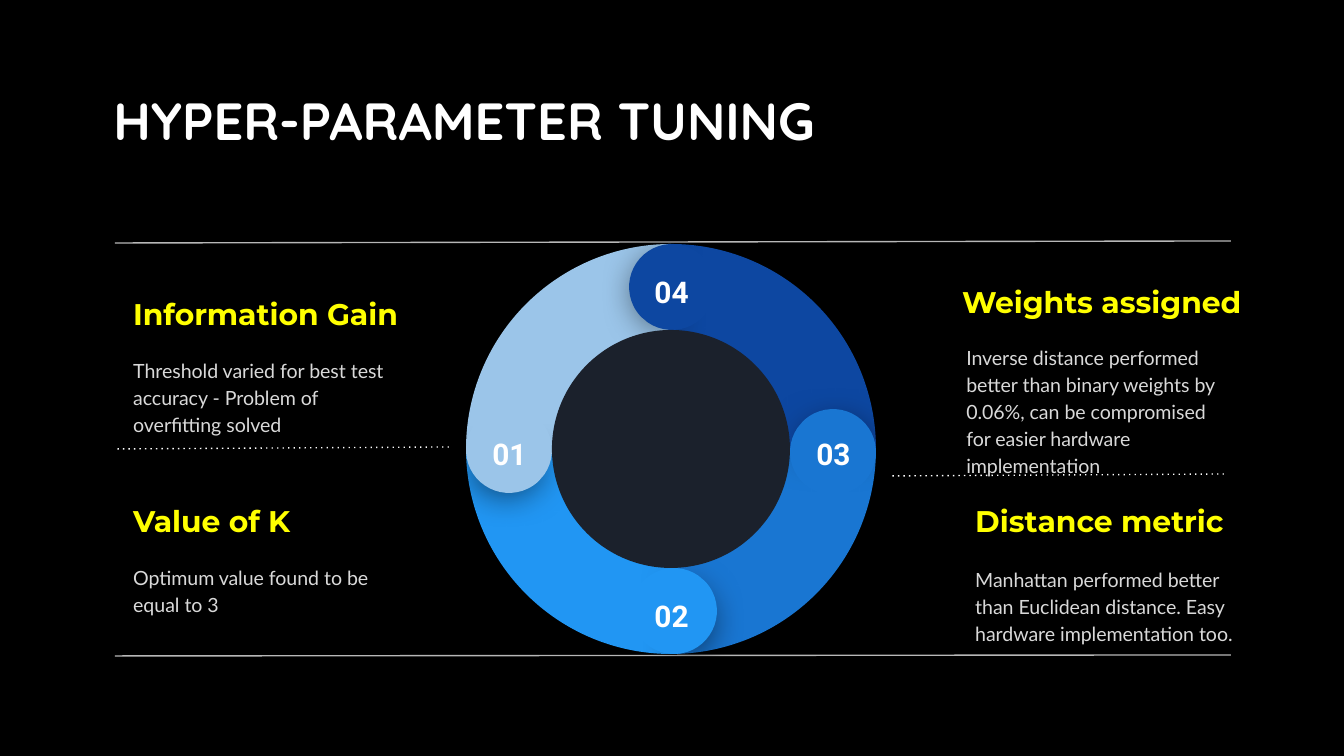
import math
from lxml import etree
from pptx import Presentation
from pptx import util as u
from pptx.dml import color as c
from pptx.enum import shapes, text
from pptx.oxml import ns

SCALE = 914400 / 134.4
COLORS = {
    "background": "000000",
    "title": "FFFFFF",
    "heading": "FFFF00",
    "body": "D9D9D9",
    "rule": "B7B7B7",
    "dots": "FFFFFF",
    "hole": "1B212C",
}
SEGMENTS = [
    ("01", "9BC5E9", 0, 180),
    ("04", "0D47A1", 90, 270),
    ("03", "1976D2", 180, 0),
    ("02", "2196F3", 270, 90),
]
CAP_SHIFTS = {"01": (0, 1), "02": (3, 0), "03": (0, 3), "04": (1, 0)}
ITEMS = [
    ((120, 281, 363, 66), (120, 345, 293, 102), "Information Gain",
     "Threshold varied for best test accuracy - Problem of overfitting solved"),
    ((120, 488, 273, 66), (120, 539, 293, 102), "Value of K",
     "Optimum value found to be equal to 3"),
    ((949, 269, 320, 66), (953, 359, 293, 102), "Weights assigned",
     "Inverse distance performed better than binary weights by 0.06%, "
     "can be compromised for easier hardware implementation"),
    ((962, 488, 282, 66), (962, 554, 293, 102), "Distance metric",
     "Manhattan performed better than Euclidean distance. "
     "Easy hardware implementation too."),
]
RULES = [
    ((1231, 241), (115, 243), "rule", False),
    ((449, 447), (115, 449), "dots", False or True),
    ((1224, 474), (890, 476), "dots", True),
    ((1231, 655), (115, 656), "rule", False),
]


def px(*lengths):
    return [u.Emu(round(length * SCALE)) for length in lengths]


def rgb(value):
    return c.RGBColor.from_string(value)


def write(shape, words, font, size, color, bold=False, anchor="TOP", align="LEFT"):
    frame = shape.text_frame
    frame.word_wrap = True
    frame.auto_size = text.MSO_AUTO_SIZE.NONE
    frame.vertical_anchor = text.MSO_ANCHOR[anchor]
    frame.margin_left = frame.margin_right = u.Inches(0.1)
    frame.margin_top = frame.margin_bottom = u.Inches(0.1)
    paragraph = frame.paragraphs[0]
    paragraph.alignment = text.PP_ALIGN[align]
    run = paragraph.add_run()
    run.text = words
    run.font.name = font
    run.font.size = u.Pt(size)
    run.font.bold = bold
    run.font.color.rgb = rgb(color)
    return paragraph


def add_title(slide, box):
    title = slide.shapes.title
    title.left, title.top, title.width, title.height = px(*box)
    paragraph = write(title, "HYPER-PARAMETER TUNING", "Quicksand", 28,
                      COLORS["title"], bold=True)
    paragraph.line_spacing = 0.9


def add_item(slide, heading_box, body_box, heading, body):
    write(slide.shapes.add_textbox(*px(*heading_box)), heading, "Montserrat", 16,
          COLORS["heading"], bold=True, anchor="MIDDLE")
    paragraph = write(slide.shapes.add_textbox(*px(*body_box)), body, "Lato", 10.5,
                      COLORS["body"], anchor="MIDDLE")
    paragraph.line_spacing = 1.15
    paragraph.space_after = u.Pt(16)


def add_rule(slide, start, end, color, dotted):
    line = slide.shapes.add_connector(shapes.MSO_CONNECTOR.STRAIGHT, *px(*start, *end))
    line.line.color.rgb = rgb(COLORS[color])
    line.line.width = u.Pt(0.75)
    if dotted:
        etree.SubElement(line.line._get_or_add_ln(), ns.qn("a:prstDash"), val="dot")
    etree.SubElement(line._element.spPr, ns.qn("a:effectLst"))


def add_round(parent, kind, center, size, color, rotation=0, angles=()):
    left, top = (position - size / 2 for position in center)
    shape = parent.add_shape(kind, *px(left, top, size, size))
    shape.shadow.inherit = False
    shape.fill.solid()
    shape.fill.fore_color.rgb = rgb(color)
    shape.line.fill.background()
    shape.rotation = rotation
    for index, angle in enumerate(angles):
        shape.adjustments[index] = angle
    return shape


def add_shadow(shape):
    effects = shape._element.spPr.find(ns.qn("a:effectLst"))
    shadow = etree.SubElement(
        effects, ns.qn("a:outerShdw"), blurRad=str(u.Pt(18)), dist=str(u.Pt(4)),
        dir="5400000", algn="ctr", rotWithShape="0")
    color = etree.SubElement(shadow, ns.qn("a:srgbClr"), val="000000")
    etree.SubElement(color, ns.qn("a:alpha"), val="55000")


def add_ring(slide, box):
    left, top, size = box
    center = left + size / 2, top + size / 2
    kinds = shapes.MSO_SHAPE

    def around(radius, direction, shift=(0, 0)):
        angle = math.radians(direction)
        return (center[0] + radius * math.cos(angle) + shift[0],
                center[1] + radius * math.sin(angle) + shift[1])

    for number, color, rotation, direction in SEGMENTS:
        add_round(slide.shapes, kinds.PIE, center, size, color, rotation,
                  (107.96, 162.01))
    for number, color, rotation, direction in sorted(SEGMENTS):
        group = slide.shapes.add_group_shape().shapes
        half_angles = (196.87, 77.71) if number == "03" else (189.54, 83.81)
        half = add_round(group, kinds.PIE, around(165, direction, CAP_SHIFTS[number]),
                         77, color, (39.5 + rotation) % 360, half_angles)
        add_shadow(half)
        add_round(group, kinds.CHORD, around(162, direction, CAP_SHIFTS[number]),
                  86, color, (4.1 + rotation) % 360, (25.01, 18.12))
        x, y = around(162, direction, (0, -7))
        label = slide.shapes.add_textbox(*px(x - 37, y - 20, 75, 39))
        write(label, number, "Roboto", 16, "FFFFFF", bold=True, align="CENTER")
    add_round(slide.shapes, kinds.OVAL, center, 238, COLORS["hole"])


def main():
    presentation = Presentation()
    presentation.slide_width, presentation.slide_height = px(1344, 756)
    slide = presentation.slides.add_slide(presentation.slide_layouts[5])
    slide.background.fill.solid()
    slide.background.fill.fore_color.rgb = rgb(COLORS["background"])
    add_title(slide, (100, 82, 1035, 134))
    for item in ITEMS:
        add_item(slide, *item)
    for rule in RULES:
        add_rule(slide, *rule)
    add_ring(slide, (466, 244, 410))
    presentation.save("out.pptx")


if __name__ == "__main__":
    main()
